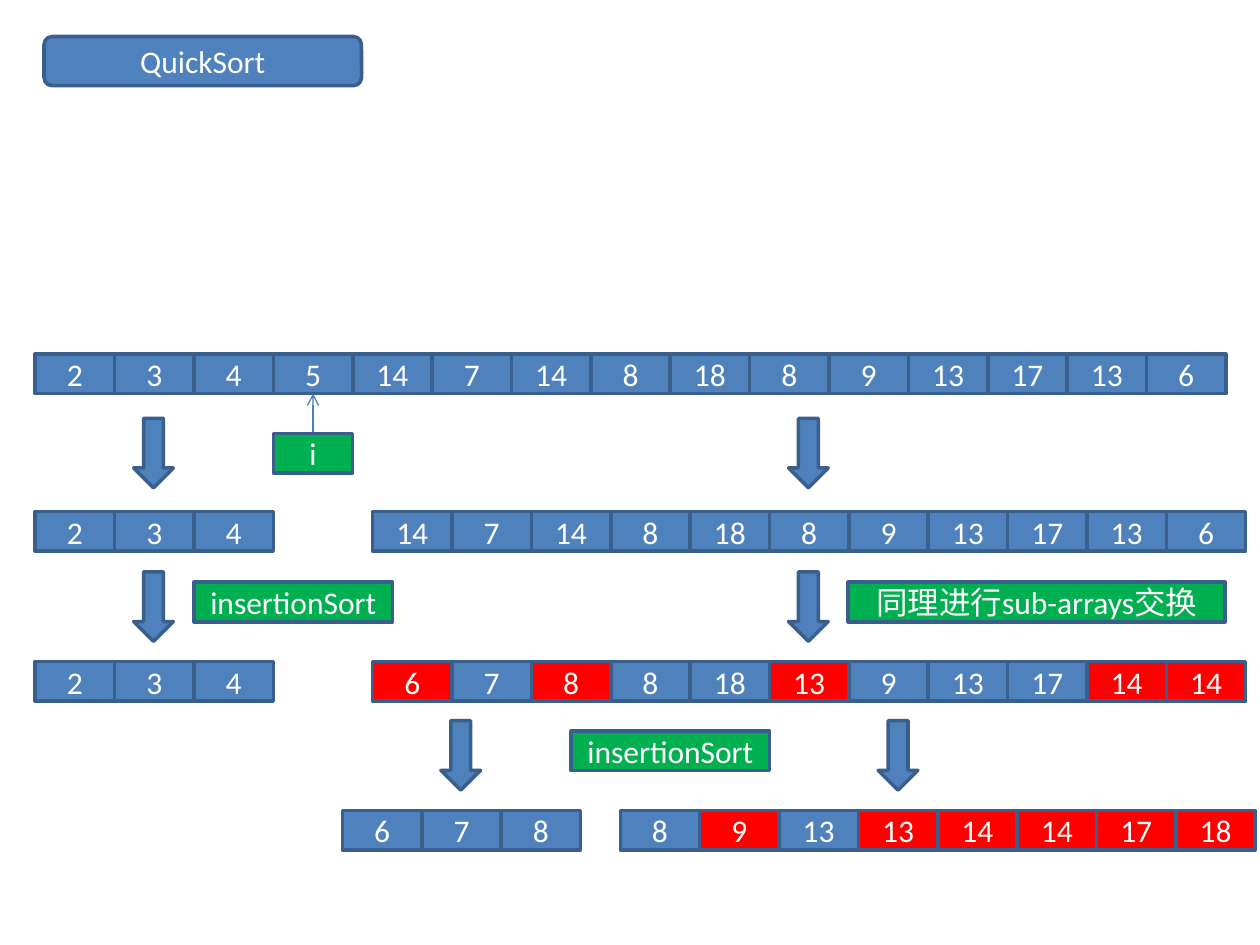
import dataclasses
import typing

import lxml.etree
import pptx
import pptx.dml.color
import pptx.enum.shapes
import pptx.enum.text
import pptx.oxml.ns
import pptx.util

SHAPE = pptx.enum.shapes.MSO_SHAPE


@dataclasses.dataclass(frozen=True)
class Theme:
    blue: str = "4F81BD"
    green: str = "00B050"
    red: str = "FF0000"
    outline: str = "3A5F8C"
    pointer: str = "4B7EBC"
    text: str = "FFFFFF"
    font: str = "Calibri"
    text_size: float = 18
    outline_width: float = 2
    pointer_width: float = 0.75


@dataclasses.dataclass(frozen=True)
class Grid:
    """Columns are one array cell wide; rows are one array cell high."""
    left: float = 0.28
    top: float = 2.81
    column: float = 0.63
    row: float = 0.315

    def x(self, columns: float) -> int:
        return pptx.util.Inches(self.left + columns * self.column)

    def y(self, rows: float) -> int:
        return pptx.util.Inches(self.top + rows * self.row)


@dataclasses.dataclass(frozen=True)
class Block:
    column: float
    row: float
    columns: float = 1
    rows: float = 1
    fill: str = "4F81BD"
    text: str = ""
    preset: typing.Any = SHAPE.RECTANGLE


@dataclasses.dataclass(frozen=True)
class Array:
    column: float
    row: float
    values: tuple[int, ...]
    swapped: frozenset[int] = frozenset()


THEME = Theme()
GRID = Grid()

ARRAYS = (
    Array(0, 0, (2, 3, 4, 5, 14, 7, 14, 8, 18, 8, 9, 13, 17, 13, 6)),
    Array(0, 3.97, (2, 3, 4)),
    Array(4.25, 3.97, (14, 7, 14, 8, 18, 8, 9, 13, 17, 13, 6)),
    Array(0, 7.75, (2, 3, 4)),
    Array(4.25, 7.75, (6, 7, 8, 8, 18, 13, 9, 13, 17, 14, 14),
          frozenset({0, 2, 5, 9, 10})),
    Array(3.87, 11.5, (6, 7, 8)),
    Array(7.37, 11.5, (8, 9, 13, 13, 14, 14, 17, 18),
          frozenset({1, 3, 4, 5, 6, 7})),
)
# Column and row of each step arrow
STEPS = ((1.24, 1.62), (9.49, 1.62), (1.24, 5.49), (9.49, 5.49),
         (5.11, 9.24), (10.62, 9.24))
LABELS = (
    Block(3, 2, fill=THEME.green, text="i"),
    Block(2, 5.75, 2.5, fill=THEME.green, text="insertionSort"),
    Block(10.24, 5.75, 4.75, fill=THEME.green, text="同理进行sub-arrays交换"),
    Block(6.75, 9.5, 2.5, fill=THEME.green, text="insertionSort"),
)
TITLE = Block(0.11, -8, 4, 1.24, THEME.blue, "QuickSort", SHAPE.ROUNDED_RECTANGLE)


def rgb(value: str) -> pptx.dml.color.RGBColor:
    return pptx.dml.color.RGBColor.from_string(value)


def apply_format(target: typing.Any, values: dict[str, typing.Any]) -> None:
    for name, value in values.items():
        setattr(target, name, value)


def draw_block(slide: typing.Any, block: Block) -> None:
    shape = slide.shapes.add_shape(
        block.preset, GRID.x(block.column), GRID.y(block.row),
        pptx.util.Inches(block.columns * GRID.column),
        pptx.util.Inches(block.rows * GRID.row))
    shape.shadow.inherit = False
    shape.fill.solid()
    shape.fill.fore_color.rgb = rgb(block.fill)
    shape.line.color.rgb = rgb(THEME.outline)
    shape.line.width = pptx.util.Pt(THEME.outline_width)
    if not block.text:
        return
    apply_format(shape.text_frame, {
        "text": block.text,
        "word_wrap": True,
        "vertical_anchor": pptx.enum.text.MSO_ANCHOR.MIDDLE,
    })
    paragraph = shape.text_frame.paragraphs[0]
    paragraph.alignment = pptx.enum.text.PP_ALIGN.CENTER
    font = paragraph.runs[0].font
    apply_format(font, {"name": THEME.font, "size": pptx.util.Pt(THEME.text_size)})
    font.color.rgb = rgb(THEME.text)


def draw_array(slide: typing.Any, array: Array) -> None:
    for index, value in enumerate(array.values):
        fill = THEME.red if index in array.swapped else THEME.blue
        draw_block(slide, Block(array.column + index, array.row,
                                fill=fill, text=str(value)))


def draw_pointer(slide: typing.Any, column: float, start: float, end: float) -> None:
    connector = slide.shapes.add_connector(
        pptx.enum.shapes.MSO_CONNECTOR.STRAIGHT,
        GRID.x(column), GRID.y(start), GRID.x(column), GRID.y(end))
    connector.line.color.rgb = rgb(THEME.pointer)
    connector.line.width = pptx.util.Pt(THEME.pointer_width)
    qualified = pptx.oxml.ns.qn
    line = connector.line._get_or_add_ln()
    lxml.etree.SubElement(line, qualified("a:tailEnd"), type="arrow")
    lxml.etree.SubElement(connector._element.spPr, qualified("a:effectLst"))


def main() -> None:
    presentation = pptx.Presentation()
    apply_format(presentation, {"slide_width": pptx.util.Inches(10),
                                "slide_height": pptx.util.Inches(7.5)})
    slide = presentation.slides.add_slide(presentation.slide_layouts[6])

    # Arrays at each stage of the sort
    for array in ARRAYS:
        draw_array(slide, array)

    # Pivot pointer and step arrows
    draw_pointer(slide, column=3.5, start=2, end=1)
    for column, row in STEPS:
        draw_block(slide, Block(column, row, 0.5, 1.75, preset=SHAPE.DOWN_ARROW))

    # Labels and title
    for block in (*LABELS, TITLE):
        draw_block(slide, block)

    presentation.save("out.pptx")


if __name__ == "__main__":
    main()
